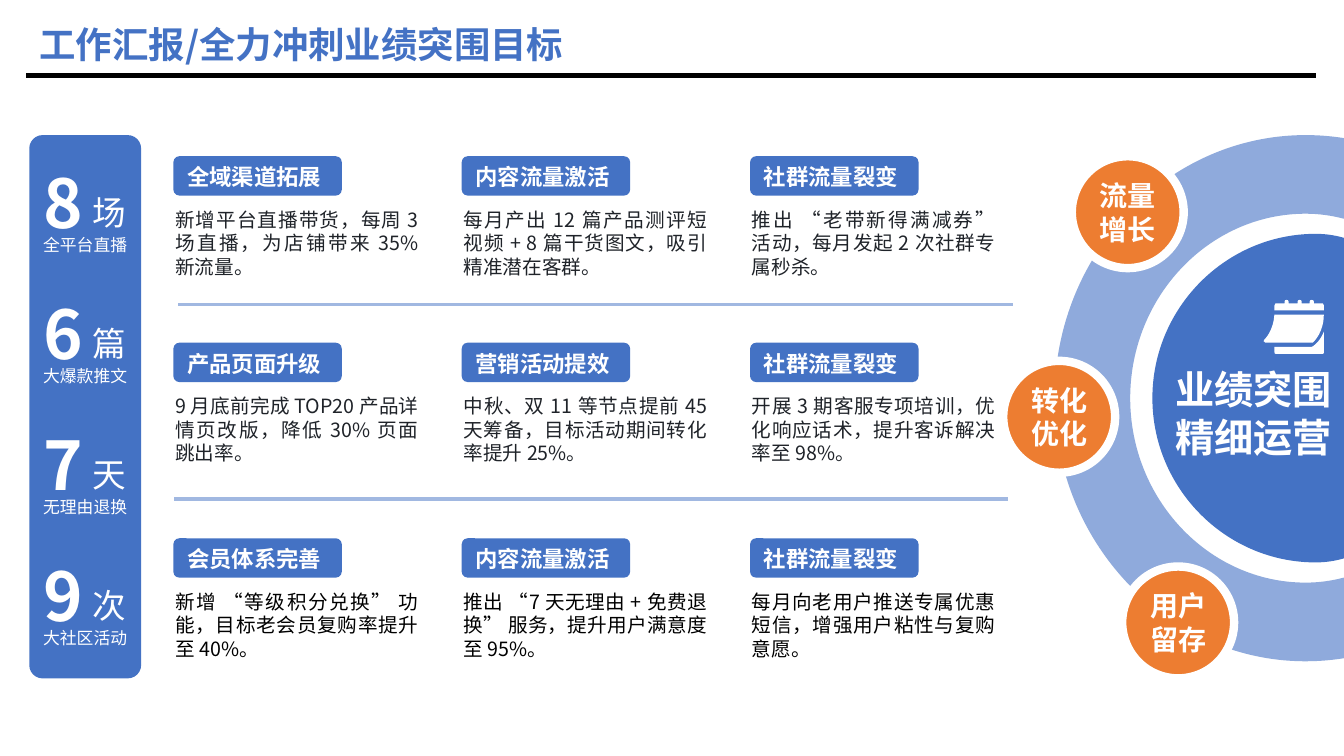
from lxml.etree import SubElement
from pptx import Presentation
from pptx.dml.color import RGBColor
from pptx.enum.shapes import MSO_CONNECTOR, MSO_SHAPE
from pptx.enum.text import MSO_ANCHOR, PP_ALIGN
from pptx.oxml.ns import qn
from pptx.util import Inches, Pt

BLUE = RGBColor(0x44, 0x72, 0xC4)
PALE = RGBColor(0x8F, 0xAA, 0xDC)
RULE = RGBColor(0xA1, 0xB8, 0xE1)
ORANGE = RGBColor(0xED, 0x7D, 0x31)
WHITE = RGBColor(0xFF, 0xFF, 0xFF)
BLACK = RGBColor(0, 0, 0)
INK = RGBColor(0x1F, 0x23, 0x29)
FONT = "Noto Sans CJK SC"
WIDE, HIGH = 13.33, 7.5
MID = 3.95

deck = Presentation()
deck.slide_width, deck.slide_height = Inches(WIDE), Inches(HIGH)
slide = deck.slides.add_slide(deck.slide_layouts[6])
shapes = slide.shapes


def write(frame, lines, size, color, bold=False, align=PP_ALIGN.LEFT):
    """Put each line in its own paragraph, with one run."""
    for i, line in enumerate(lines):
        para = frame.paragraphs[0] if i == 0 else frame.add_paragraph()
        para.alignment = align
        run = para.add_run()
        run.text = line
        run.font.name, run.font.size, run.font.bold = FONT, Pt(size), bold
        run.font.color.rgb = color
        SubElement(run.font._element, qn("a:ea")).set("typeface", FONT)


def paint(shape, fill, edge=None):
    """Give a shape a flat fill and, if asked, a thick edge."""
    shape.shadow.inherit = False
    shape.fill.solid()
    shape.fill.fore_color.rgb = fill
    if edge is None:
        shape.line.fill.background()
    else:
        shape.line.color.rgb, shape.line.width = edge, Pt(6)


# Title and rules
title = shapes.add_textbox(Inches(0.29), Inches(0.17), Inches(6.82), Inches(0.54)).text_frame
title.word_wrap = True
write(title, ["工作汇报/全力冲刺业绩突围目标"], 26, BLUE, True)
for left, right, y, color, width in [(0.26, 13.05, 0.75, BLACK, 3),
                                     (1.77, 10.05, 3.02, RULE, 2.25),
                                     (1.73, 10, 4.95, RULE, 2.25)]:
    rule = shapes.add_connector(MSO_CONNECTOR.STRAIGHT, Inches(left), Inches(y),
                                Inches(right), Inches(y))
    rule.line.color.rgb, rule.line.width = color, Pt(width)
    SubElement(rule._element.spPr, qn("a:effectLst"))

# Arcs of four curves each, open at the right edge of the slide
arcs = []
for x, wide, high, drop in [(13.05, 1.62, 1.63, 0.04), (12.95, 2.49, 2.61, 0.03),
                            (12.95, 1.74, 1.83, 0.05)]:
    third, top, left = (WIDE - x) / 3, MID - high, x - wide
    upper = [(WIDE, top + drop), (x + 2 * third, top + drop / 3), (x + third, top), (x, top),
             (x - 0.55 * wide, top), (left, MID - 0.55 * high)]
    lower = [(a, 2 * MID - b) for a, b in upper[::-1]]
    arcs.append(upper + [(left, MID)] + lower)
core, outer, inner = arcs

# Calendar icon: a top strip with three rings, a curled page and a base
strip = [(12.64, 3.08), (12.64, 3.03), (12.65, 3.01)]
for x in [12.74, 12.87, 12.99]:
    strip += [(x, 3.01), (x, 2.99), (x, 2.97), (x + 0.04, 2.97), (x + 0.04, 2.99),
              (x + 0.04, 3.01)]
strip += [(13.12, 3.01), (13.13, 3.03), (13.13, 3.08)]
page = [(12.64, 3.12), (12.63, 3.29), (12.54, 3.37), (12.54, 3.37), (12.53, 3.37),
        (12.53, 3.4), (12.55, 3.4), (13.02, 3.4), (13.03, 3.39), (13.13, 3.3), (13.13, 3.12)]
base = [(13.13, 3.29), (13.11, 3.34), (13.08, 3.39), (13.04, 3.42), (13.03, 3.43),
        (13.02, 3.44), (13.01, 3.44), (12.64, 3.44), (12.64, 3.49), (12.64, 3.5),
        (12.64, 3.51), (12.65, 3.51), (13.12, 3.51), (13.13, 3.51), (13.13, 3.5), (13.13, 3.49)]

# L takes one point as a line, C takes three as a curve
for points, kinds, color in [(core, "CCCC", BLUE),
                             (outer + inner[::-1], "CCCCLCCCC", PALE),
                             (page, "CCLC", WHITE),
                             (strip, "LL" + "LLCL" * 3 + "LLL", WHITE),
                             (base, "CCLLCLC", WHITE)]:
    dots = [(Inches(x), Inches(y)) for x, y in points]
    maker = shapes.build_freeform(*dots[0])
    maker.add_line_segments(dots[1:], close=True)
    form = maker.convert_to_shape()
    paint(form, color)
    steps = iter(list(form._element.iter(qn("a:lnTo"))))
    for kind in kinds:
        step = next(steps)
        if kind == "C":
            curve = step.getparent().makeelement(qn("a:cubicBezTo"))
            step.addprevious(curve)
            for part in [step, next(steps), next(steps)]:
                curve.append(part[0])
                part.getparent().remove(part)

goal = shapes.add_textbox(Inches(11.29), Inches(3.58), Inches(2.29), Inches(1.04)).text_frame
goal.word_wrap = True
write(goal, ["业绩突围", "精细运营"], 28, WHITE, True, PP_ALIGN.CENTER)

# Orange discs on the ring
for left, top, name in [(10.63, 1.55, "流量增长"), (9.95, 3.58, "转化优化"),
                        (11.13, 5.62, "用户留存")]:
    disc = shapes.add_shape(MSO_SHAPE.OVAL, Inches(left), Inches(top), Inches(1.11), Inches(1.11))
    paint(disc, ORANGE, WHITE)
    frame = disc.text_frame
    frame.margin_left = frame.margin_right = frame.margin_top = frame.margin_bottom = 0
    frame.word_wrap, frame.vertical_anchor = True, MSO_ANCHOR.MIDDLE
    write(frame, [name], 20, WHITE, True, PP_ALIGN.CENTER)

# Three rows of three measures
rows = [
    (1.55, INK, [("全域渠道拓展", "新增平台直播带货，每周 3 场直播，为店铺带来 35% 新流量。"),
                 ("内容流量激活", "每月产出 12 篇产品测评短视频 + 8 篇干货图文，吸引精准潜在客群。"),
                 ("社群流量裂变", "推出 “老带新得满减券” 活动，每月发起 2 次社群专属秒杀。")]),
    (3.4, INK, [("产品页面升级", "9 月底前完成 TOP20 产品详情页改版，降低 30% 页面跳出率。"),
                ("营销活动提效", "中秋、双 11 等节点提前 45 天筹备，目标活动期间转化率提升 25%。"),
                ("社群流量裂变", "开展 3 期客服专项培训，优化响应话术，提升客诉解决率至 98%。")]),
    (5.34, BLACK, [("会员体系完善", "新增 “等级积分兑换” 功能，目标老会员复购率提升至 40%。"),
                   ("内容流量激活", "推出 “7 天无理由 + 免费退换” 服务，提升用户满意度至 95%。"),
                   ("社群流量裂变", "每月向老用户推送专属优惠短信，增强用户粘性与复购意愿。")]),
]
for top, color, cells in rows:
    for col, (head, body) in enumerate(cells):
        left = 1.72 + 2.86 * col
        badge = shapes.add_shape(MSO_SHAPE.ROUNDED_RECTANGLE, Inches(left), Inches(top),
                                 Inches(1.67), Inches(0.39))
        badge.adjustments[0] = 0.15
        paint(badge, BLUE)
        frame = badge.text_frame
        frame.margin_left, frame.margin_right = Inches(0.12), 0
        frame.margin_top, frame.margin_bottom = Inches(0.02), 0
        frame.vertical_anchor = MSO_ANCHOR.MIDDLE
        write(frame, [head], 16, WHITE, True, PP_ALIGN.JUSTIFY)
        note = shapes.add_textbox(Inches(left - 0.08), Inches(top + 0.46),
                                  Inches(2.61), Inches(0.81)).text_frame
        note.word_wrap = True
        write(note, [body], 14, color, align=PP_ALIGN.JUSTIFY)

# Side panel of figures
panel = shapes.add_shape(MSO_SHAPE.ROUNDED_RECTANGLE, Inches(0.29), Inches(1.34),
                         Inches(1.11), Inches(5.39))
panel.adjustments[0] = 0.12
paint(panel, BLUE)
stats = [("8", "场", "全平台直播"), ("6", "篇", "大爆款推文"),
         ("7", "天", "无理由退换"), ("9", "次", "大社区活动")]
for row, (count, unit, label) in enumerate(stats):
    top = 1.55 + 1.3 * row
    for text, x, y, wide, high, size in [(count, 0.33, 0, 0.59, 0.91, 48),
                                         (unit, 0.82, 0.3, 0.53, 0.5, 24),
                                         (label, 0.33, 0.73, 1.05, 0.35, 12)]:
        frame = shapes.add_textbox(Inches(x), Inches(top + y), Inches(wide), Inches(high)).text_frame
        frame.word_wrap = text == label
        write(frame, [text], size, WHITE, text == count)

deck.save("out.pptx")
